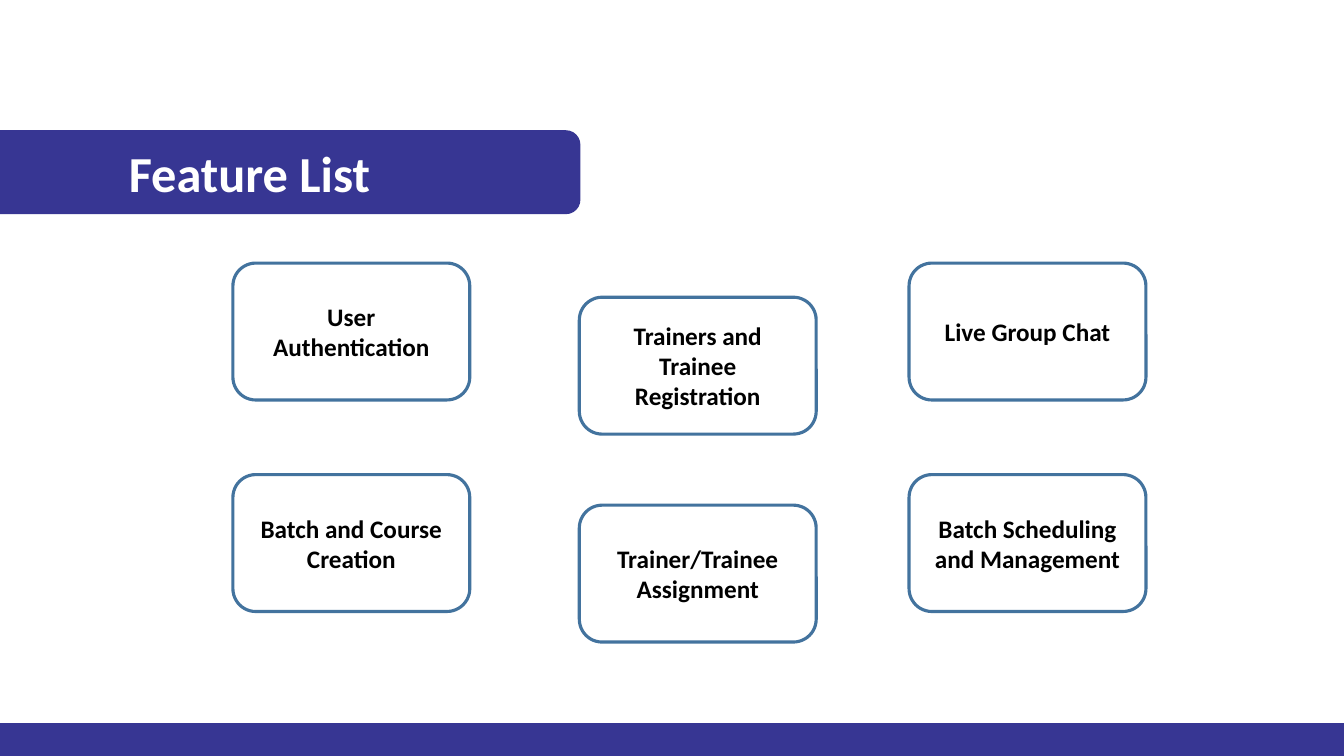
from dataclasses import dataclass

from pptx import Presentation
from pptx.dml.color import RGBColor
from pptx.enum.shapes import MSO_SHAPE
from pptx.enum.text import MSO_ANCHOR, PP_ALIGN
from pptx.util import Cm, Pt


@dataclass(frozen=True)
class Theme:
    """Colours, font and type sizes of the deck."""

    brand: RGBColor = RGBColor(0x37, 0x36, 0x93)
    outline: RGBColor = RGBColor(0x43, 0x73, 0x9E)
    light: RGBColor = RGBColor(0xFF, 0xFF, 0xFF)
    dark: RGBColor = RGBColor(0x00, 0x00, 0x00)
    font: str = "Calibri"
    title_size: int = 36
    card_size: int = 18
    thin: float = 1
    thick: float = 2.25


class SlideBuilder:
    """Draws the elements of one slide in a given theme."""

    def __init__(self, page, theme):
        self.page = page
        self.theme = theme

    def shape(self, kind, bounds, line, weight, fill=None):
        """Add an outlined shape, filled when a colour is given."""
        box = self.page.shapes.add_shape(kind, *map(Cm, bounds))
        box.shadow.inherit = False
        if fill is None:
            box.fill.background()
        else:
            box.fill.solid()
            box.fill.fore_color.rgb = fill
        box.line.color.rgb = line
        box.line.width = Pt(weight)
        return box

    def label(self, box, text, size, color):
        """Write centred bold text in a shape."""
        frame = box.text_frame
        frame.word_wrap = True
        frame.vertical_anchor = MSO_ANCHOR.MIDDLE
        para = frame.paragraphs[0]
        para.alignment = PP_ALIGN.CENTER
        span = para.add_run()
        span.text = text
        span.font.color.rgb = color
        font_format = {"name": self.theme.font, "size": Pt(size), "bold": True}
        for name, value in font_format.items():
            setattr(span.font, name, value)

    def footer(self, bounds):
        """Add the solid bar along the bottom."""
        theme = self.theme
        self.shape(MSO_SHAPE.RECTANGLE, bounds, theme.brand, theme.thin, theme.brand)

    def banner(self, text, bounds):
        """Add the title banner that bleeds off the left edge."""
        theme = self.theme
        box = self.shape(
            MSO_SHAPE.ROUNDED_RECTANGLE, bounds, theme.brand, theme.thin, theme.brand
        )
        self.label(box, text, theme.title_size, theme.light)

    def card(self, text, bounds):
        """Add one outlined feature card."""
        theme = self.theme
        box = self.shape(
            MSO_SHAPE.ROUNDED_RECTANGLE, bounds, theme.outline, theme.thick
        )
        self.label(box, text, theme.card_size, theme.dark)


SLIDE_WIDTH, SLIDE_HEIGHT = 33.87, 19.05
FOOTER_HEIGHT = 0.81
CARD_WIDTH, CARD_HEIGHT = 5.97, 3.45
COLUMN_LEFTS = (5.87, 14.6, 22.91)
FEATURE_ROWS = (
    (
        (6.63, 7.49, 6.63),
        ("User Authentication", "Trainers and Trainee Registration", "Live Group Chat"),
    ),
    (
        (11.96, 12.73, 11.96),
        (
            "Batch and Course Creation",
            "Trainer/Trainee Assignment",
            "Batch Scheduling and Management",
        ),
    ),
)


def main():
    """Build the feature list slide and save it."""
    deck = Presentation()
    deck.slide_width, deck.slide_height = Cm(SLIDE_WIDTH), Cm(SLIDE_HEIGHT)
    page = deck.slides.add_slide(deck.slide_layouts[6])
    builder = SlideBuilder(page, Theme())
    builder.footer((0, SLIDE_HEIGHT - FOOTER_HEIGHT, SLIDE_WIDTH, FOOTER_HEIGHT))
    builder.banner("Feature List", (-2.03, 3.3, 16.64, 2.08))
    for tops, features in FEATURE_ROWS:
        for left, top, feature in zip(COLUMN_LEFTS, tops, features):
            builder.card(feature, (left, top, CARD_WIDTH, CARD_HEIGHT))
    deck.save("out.pptx")


if __name__ == "__main__":
    main()
